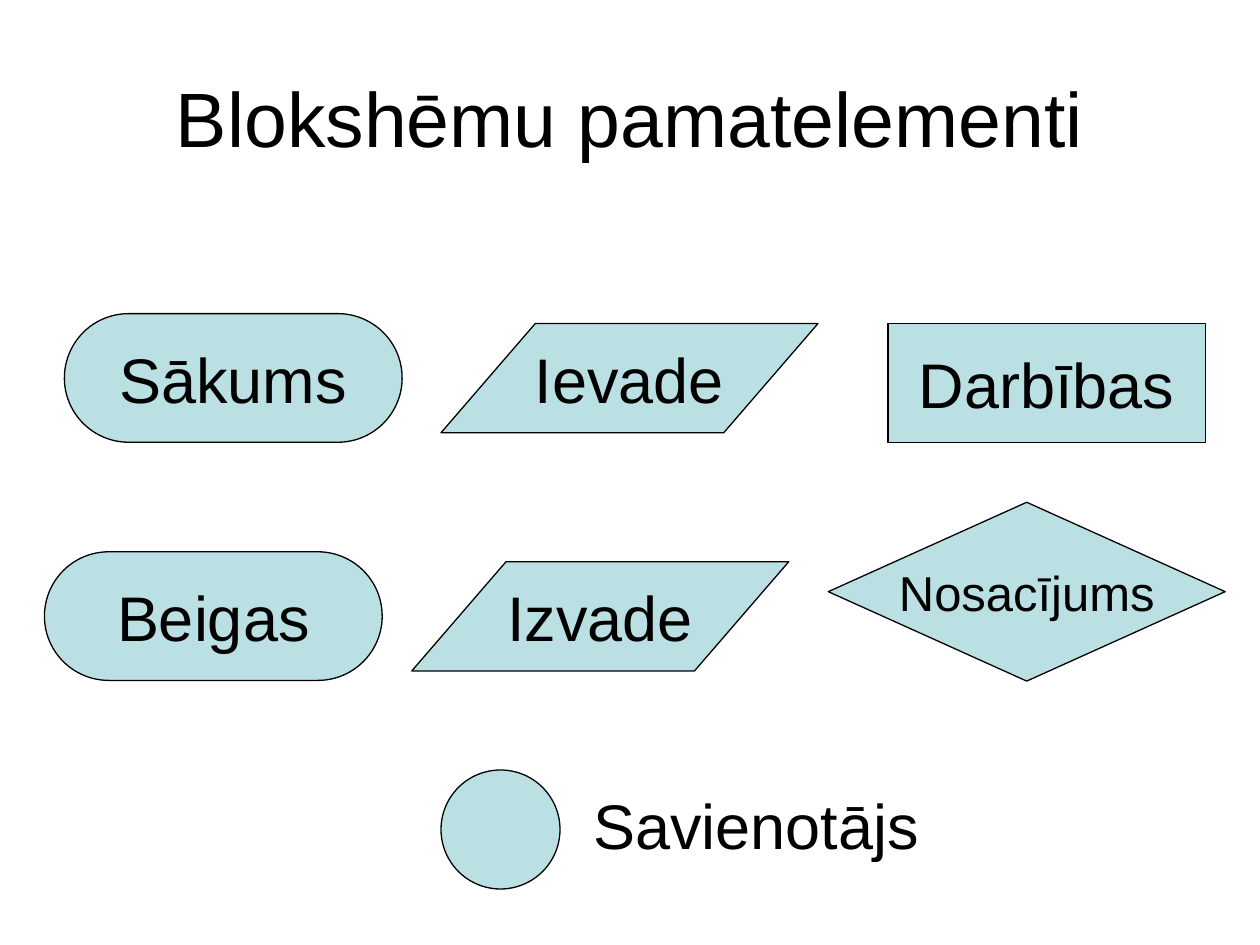
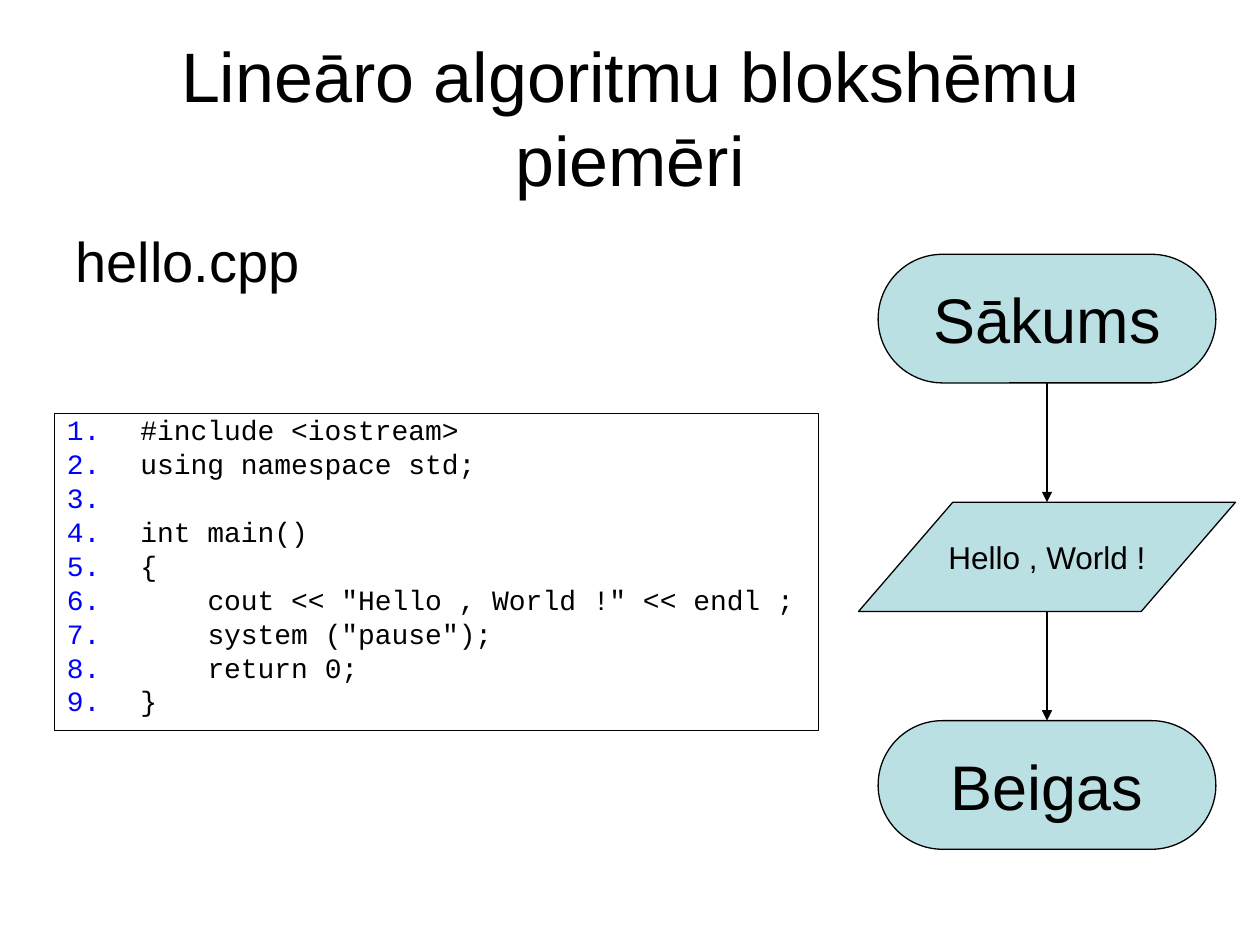
from dataclasses import dataclass

from lxml.etree import SubElement
from pptx import Presentation
from pptx.dml.color import RGBColor
from pptx.enum.shapes import MSO_CONNECTOR as Connector, MSO_SHAPE as Shape
from pptx.enum.text import MSO_ANCHOR as Anchor, MSO_AUTO_SIZE as AutoSize, PP_ALIGN as Align
from pptx.oxml.ns import qn
from pptx.util import Pt


@dataclass(frozen=True)
class Theme:
    """Colours, fonts and type sizes of the deck."""
    ink: RGBColor = RGBColor(0, 0, 0)
    fill: RGBColor = RGBColor(0xBB, 0xE0, 0xE3)
    number: str = "0000FF"
    sans: str = "Arial"
    mono: str = "Courier New"
    title: float = 44
    long_title: float = 40
    body: float = 32
    symbol: float = 36
    condition: float = 28
    message: float = 18
    code: float = 16
    line: float = 0.75


THEME = Theme()
TERMINAL = (Shape.ROUNDED_RECTANGLE, 193, 73.5, 0.5)
DATA = (Shape.PARALLELOGRAM, 215.4, 62.4, 0.863)
ACTION = (Shape.RECTANGLE, 181.5, 68, None)
CONDITION = (Shape.DIAMOND, 226.8, 102.2, None)
JOIN = (Shape.OVAL, 68, 68, None)

TITLE_ONLY, TITLE_AND_BODY = 5, 1
FLOW_CENTRE = 598.3
NUMBER_WIDTH = 42
CODE_INDENT = 38.4
CODE = [
    (0, "#include <iostream>"),
    (0, "using namespace std;"),
    (0, " "),
    (0, "int main()"),
    (0, "{"),
    (1, 'cout << "Hello , World !" << endl ;'),
    (1, 'system ("pause");'),
    (1, "return 0;"),
    (0, "}"),
]


def style(para, size, font=THEME.sans, align=Align.LEFT):
    """Set the type and alignment of a paragraph."""
    para.font.size = Pt(size)
    para.font.name = font
    para.font.color.rgb = THEME.ink
    para.alignment = align


def place(box, left, top, width, height):
    """Move and size a shape, in points."""
    box.left, box.top, box.width, box.height = map(Pt, (left, top, width, height))


def outline(box):
    """Give a shape the thin ink line and no shadow."""
    box.shadow.inherit = False
    box.line.color.rgb = THEME.ink
    box.line.width = Pt(THEME.line)


def add_page(deck, layout, title, size):
    """Add a slide with a centred title."""
    page = deck.slides.add_slide(deck.slide_layouts[layout])
    box = page.shapes.title
    place(box, 36, 21.6, 648, 90)
    box.text_frame.text = title
    box.text_frame.auto_size = AutoSize.NONE
    box.text_frame.vertical_anchor = Anchor.MIDDLE
    style(box.text_frame.paragraphs[0], size, align=Align.CENTER)
    return page


def add_symbol(page, kind, left, top, text="", size=THEME.symbol):
    """Add a flowchart symbol of the given kind."""
    preset, width, height, bend = kind
    box = page.shapes.add_shape(preset, Pt(left), Pt(top), Pt(width), Pt(height))
    if bend is not None:
        box.adjustments[0] = bend
    outline(box)
    box.fill.solid()
    box.fill.fore_color.rgb = THEME.fill
    if text:
        frame = box.text_frame
        frame.text = text
        frame.word_wrap = False
        frame.vertical_anchor = Anchor.MIDDLE
        style(frame.paragraphs[0], size, align=Align.CENTER)
    return box


def add_flow_symbol(page, kind, top, text, size=THEME.symbol):
    """Add a symbol centred on the flow line."""
    return add_symbol(page, kind, FLOW_CENTRE - kind[1] / 2, top, text, size)


def add_arrow(page, upper, lower):
    """Draw an arrow down from one symbol to the next."""
    centre = Pt(FLOW_CENTRE)
    arrow = page.shapes.add_connector(
        Connector.STRAIGHT, centre, upper.top + upper.height, centre, lower.top)
    if upper.auto_shape_type == Shape.ROUNDED_RECTANGLE:
        arrow.begin_connect(upper, 2)
    if lower.auto_shape_type == Shape.ROUNDED_RECTANGLE:
        arrow.end_connect(lower, 0)
    arrow.line.color.rgb = THEME.ink
    arrow.line.width = Pt(THEME.line)
    SubElement(arrow.line._get_or_add_ln(), qn("a:tailEnd"), type="triangle")
    SubElement(arrow._element.spPr, qn("a:effectLst"))


def add_label(page, left, top, width, height, text):
    """Add plain text beside a symbol."""
    box = page.shapes.add_textbox(Pt(left), Pt(top), Pt(width), Pt(height))
    box.text_frame.word_wrap = True
    box.text_frame.text = text
    style(box.text_frame.paragraphs[0], THEME.symbol)


def fill_body(page, text):
    """Put an unbulleted line in the body placeholder."""
    box = page.placeholders[1]
    place(box, 36, 126, 648, 47.5)
    box.text_frame.text = text
    box.text_frame.auto_size = AutoSize.NONE
    para = box.text_frame.paragraphs[0]
    style(para, THEME.body)
    para.space_before = Pt(0)
    props = para._p.get_or_add_pPr()
    props.set("marL", str(Pt(27)))
    props.set("indent", str(Pt(-27)))
    SubElement(props, qn("a:buNone"))


def number_line(para, level):
    """Number a code line and indent its text by level."""
    margin = NUMBER_WIDTH + level * CODE_INDENT
    props = para._p.get_or_add_pPr()
    props.set("marL", str(Pt(margin)))
    props.set("indent", str(Pt(-margin)))
    colour = SubElement(props, qn("a:buClr"))
    SubElement(colour, qn("a:srgbClr"), val=THEME.number)
    SubElement(props, qn("a:buAutoNum"), type="arabicPeriod")


def add_listing(page, left, top, width, height, lines):
    """Add a framed listing with numbered lines."""
    box = page.shapes.add_shape(Shape.RECTANGLE, Pt(left), Pt(top), Pt(width), Pt(height))
    outline(box)
    box.fill.background()
    frame = box.text_frame
    frame.word_wrap = True
    frame.vertical_anchor = Anchor.TOP
    frame.text = "\n".join(text for _, text in lines)
    for para, (level, _) in zip(frame.paragraphs, lines):
        style(para, THEME.code, THEME.mono)
        para.line_spacing = 0.8
        para.space_before = Pt(4)
        number_line(para, level)


def build_elements(deck):
    """Show the basic flowchart symbols."""
    page = add_page(deck, TITLE_ONLY, "Blokshēmu pamatelementi", THEME.title)
    add_symbol(page, TERMINAL, 36.8, 179.2, "Sākums")
    add_symbol(page, TERMINAL, 25.4, 315.3, "Beigas")
    add_symbol(page, DATA, 252, 184.9, "Ievade")
    add_symbol(page, DATA, 235.3, 321, "Izvade")
    add_symbol(page, ACTION, 507.4, 184.9, "Darbības")
    add_symbol(page, CONDITION, 473.3, 287, "Nosacījums", THEME.condition)
    add_symbol(page, JOIN, 252, 440)
    add_label(page, 332, 445.7, 226.8, 50.4, "Savienotājs")


def build_example(deck):
    """Show a linear program beside its flowchart."""
    page = add_page(deck, TITLE_AND_BODY, "Lineāro algoritmu blokshēmu piemēri",
                    THEME.long_title)
    fill_body(page, "hello.cpp")
    add_listing(page, 31.1, 236.1, 436.5, 181.5, CODE)
    start = add_flow_symbol(page, TERMINAL, 145.3, "Sākums")
    output = add_flow_symbol(page, DATA, 287, "Hello , World !", THEME.message)
    end = add_flow_symbol(page, TERMINAL, 411.8, "Beigas")
    add_arrow(page, start, output)
    add_arrow(page, output, end)


def main():
    """Build and save the deck."""
    deck = Presentation()
    deck.slide_width, deck.slide_height = Pt(720), Pt(540)
    build_elements(deck)
    build_example(deck)
    deck.save("out.pptx")


if __name__ == "__main__":
    main()
